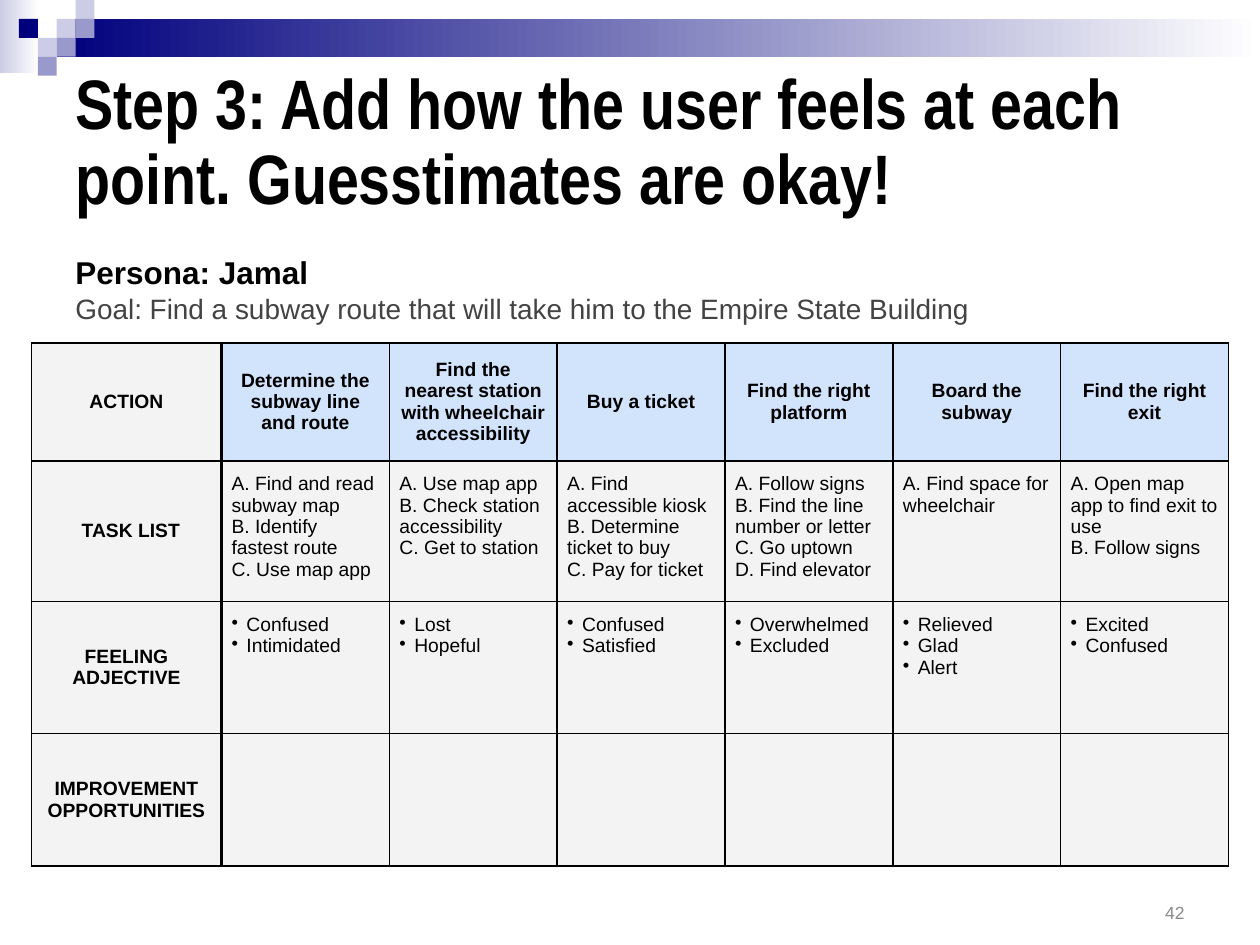
import pptx
import pptx.util
import pptx.dml.color
import pptx.enum.shapes
import pptx.enum.text
import pptx.oxml
import pptx.oxml.ns

Pt = pptx.util.Pt
RGB = pptx.dml.color.RGBColor
ALIGN = pptx.enum.text.PP_ALIGN
ANCHOR = pptx.enum.text.MSO_ANCHOR

BLACK = RGB(0x00, 0x00, 0x00)
WHITE = RGB(0xFF, 0xFF, 0xFF)
NAVY = RGB(0x00, 0x00, 0x7D)
LILAC = RGB(0xCC, 0xCC, 0xE6)
MAUVE = RGB(0x99, 0x99, 0xCC)
DARK = RGB(0x43, 0x43, 0x43)
GREY = RGB(0x89, 0x89, 0x89)
PALE = RGB(0xF3, 0xF3, 0xF3)
SKY = RGB(0xD2, 0xE3, 0xFC)

STEPS = ["Determine the subway line and route", "Find the nearest station with wheelchair accessibility",
         "Buy a ticket", "Find the right platform", "Board the subway", "Find the right exit"]
TASKS = ["A. Find and read subway map\nB. Identify fastest route\nC. Use map app",
         "A. Use map app\nB. Check station accessibility\nC. Get to station",
         "A. Find accessible kiosk\nB. Determine ticket to buy\nC. Pay for ticket",
         "A. Follow signs\nB. Find the line number or letter\nC. Go uptown\nD. Find elevator",
         "A. Find space for wheelchair",
         "A. Open map app to find exit to use\nB. Follow signs"]
MOODS = ["Confused\nIntimidated", "Lost\nHopeful", "Confused\nSatisfied",
         "Overwhelmed\nExcluded", "Relieved\nGlad\nAlert", "Excited\nConfused"]
ROWS = [["ACTION"] + STEPS, ["TASK LIST"] + TASKS, ["FEELING ADJECTIVE"] + MOODS,
        ["IMPROVEMENT\nOPPORTUNITIES"] + [""] * 6]
TASK_ROW, MOOD_ROW = 1, 2


class Deck:
    face = "Arial"

    def __init__(self):
        self.show = pptx.Presentation()
        self.show.slide_width, self.show.slide_height = Pt(720), Pt(540)
        self.slide = self.show.slides.add_slide(self.show.slide_layouts[5])

    def font(self, font, size, color, bold=False, face=None):
        font.name, font.size, font.bold = face or self.face, Pt(size), bold
        font.color.rgb = color

    def block(self, x, y, w, h, color, fade=False):
        kind = pptx.enum.shapes.MSO_SHAPE.RECTANGLE
        box = self.slide.shapes.add_shape(kind, Pt(x), Pt(y), Pt(w), Pt(h))
        box.shadow.inherit = False
        box.line.fill.background()
        if fade:
            box.fill.gradient()
            box.fill.gradient_angle = 0
            for stop, tint in zip(box.fill.gradient_stops, (color, WHITE)):
                stop.color.rgb = tint
        else:
            box.fill.solid()
            box.fill.fore_color.rgb = color

    def title(self, text, x, y, w, h):
        box = self.slide.shapes.title
        box.left, box.top, box.width, box.height = Pt(x), Pt(y), Pt(w), Pt(h)
        frame = box.text_frame
        frame.text = text
        frame.auto_size = pptx.enum.text.MSO_AUTO_SIZE.NONE
        frame.vertical_anchor = ANCHOR.MIDDLE
        para = frame.paragraphs[0]
        para.alignment, para.line_spacing = ALIGN.LEFT, 0.9
        self.font(para.font, 40, BLACK, True, "Arial Narrow")

    def text(self, x, y, w, h, parts, pad=3.6, align=ALIGN.LEFT, anchor=ANCHOR.TOP):
        """Each part is (text, size, color, bold) on a line of its own."""
        box = self.slide.shapes.add_textbox(Pt(x), Pt(y), Pt(w), Pt(h))
        frame = box.text_frame
        frame.word_wrap = True
        frame.vertical_anchor = anchor
        frame.margin_top = frame.margin_bottom = Pt(pad)
        para = frame.paragraphs[0]
        para.alignment = align
        for i, (words, size, color, bold) in enumerate(parts):
            if i:
                para.add_line_break()
            run = para.add_run()
            run.text = words
            self.font(run.font, size, color, bold)

    def border(self, cell, **widths):
        props = cell._tc.get_or_add_tcPr()
        for i, (side, width) in enumerate(widths.items()):
            props.insert(i, pptx.oxml.parse_xml(
                f'<a:ln{side} {pptx.oxml.ns.nsdecls("a")} w="{Pt(width)}">'
                f'<a:solidFill><a:srgbClr val="{BLACK}"/></a:solidFill></a:ln{side}>'))

    def indent(self, para, left, hang, bullet=False):
        props = para._p.get_or_add_pPr()
        props.set("marL", str(Pt(left)))
        props.set("indent", str(Pt(-hang)))
        if bullet:
            props.append(pptx.oxml.parse_xml(
                f'<a:buChar {pptx.oxml.ns.nsdecls("a")} char="•"/>'))

    def cell(self, cell, text, row, col):
        label = row == 0 or col == 0
        cell.fill.solid()
        cell.fill.fore_color.rgb = SKY if row == 0 and col else PALE
        cell.margin_left = cell.margin_right = Pt(5.76)
        cell.margin_top = cell.margin_bottom = Pt(7.2)
        cell.vertical_anchor = ANCHOR.MIDDLE if label else ANCHOR.TOP
        # Heavier rules set off the label column and the step row
        self.border(cell, L=1.5 if col == 1 else 1, R=1.5 if col == 0 else 1,
                    T=1.5 if row == 1 else 1, B=1.5 if row == 0 else 1)
        cell.text = text
        for para in cell.text_frame.paragraphs:
            para.alignment = ALIGN.CENTER if label else ALIGN.LEFT
            if row == TASK_ROW and col == 0:
                self.indent(para, 13.5, 8.5)
            elif row == MOOD_ROW and col:
                self.indent(para, 8.5, 8.5, bullet=True)
            self.font(para.font, 11, BLACK, label)

    def table(self, x, y, rows, widths, heights):
        grid = self.slide.shapes.add_table(len(rows), len(widths), Pt(x), Pt(y),
                                           Pt(sum(widths)), Pt(sum(heights))).table
        grid.first_row = grid.horz_banding = False
        for col, width in zip(grid.columns, widths):
            col.width = Pt(width)
        for r, (texts, height) in enumerate(zip(rows, heights)):
            grid.rows[r].height = Pt(height)
            for c, text in enumerate(texts):
                self.cell(grid.cell(r, c), text, r, c)


def main():
    deck = Deck()

    # Banner: two fading bars and a scatter of squares
    deck.block(0, 0, 22.3, 41.8, LILAC, fade=True)
    deck.block(32.4, 10.8, 687.6, 21.6, NAVY, fade=True)
    side = 10.8
    for col, row, color in [(3, 1, LILAC), (4, 0, LILAC), (4, 1, MAUVE), (2, 2, LILAC),
                            (1, 1, NAVY), (3, 2, MAUVE), (2, 3, MAUVE)]:
        deck.block(col * side, row * side, side, side, color)

    # Headings
    deck.title("Step 3: Add how the user feels at each point. Guesstimates are okay!",
               36, 33.1, 648, 98.6)
    deck.text(36, 137.5, 648, 51.8, [
        ("Persona: Jamal", 18, BLACK, True),
        ("Goal: Find a subway route that will take him to the Empire State Building",
         16, DARK, False)], pad=7.2)

    # Journey map
    deck.table(18, 196, ROW_TEXT, [108.6] + [95.9] * 6, [63.4, 75.4, 75.4, 75.8])

    # Slide number
    deck.text(516.2, 509, 167.8, 25.2, [("42", 10, GREY, False)],
              align=ALIGN.RIGHT, anchor=ANCHOR.MIDDLE)
    deck.show.save("out.pptx")


ROW_TEXT = ROWS

if __name__ == "__main__":
    main()
